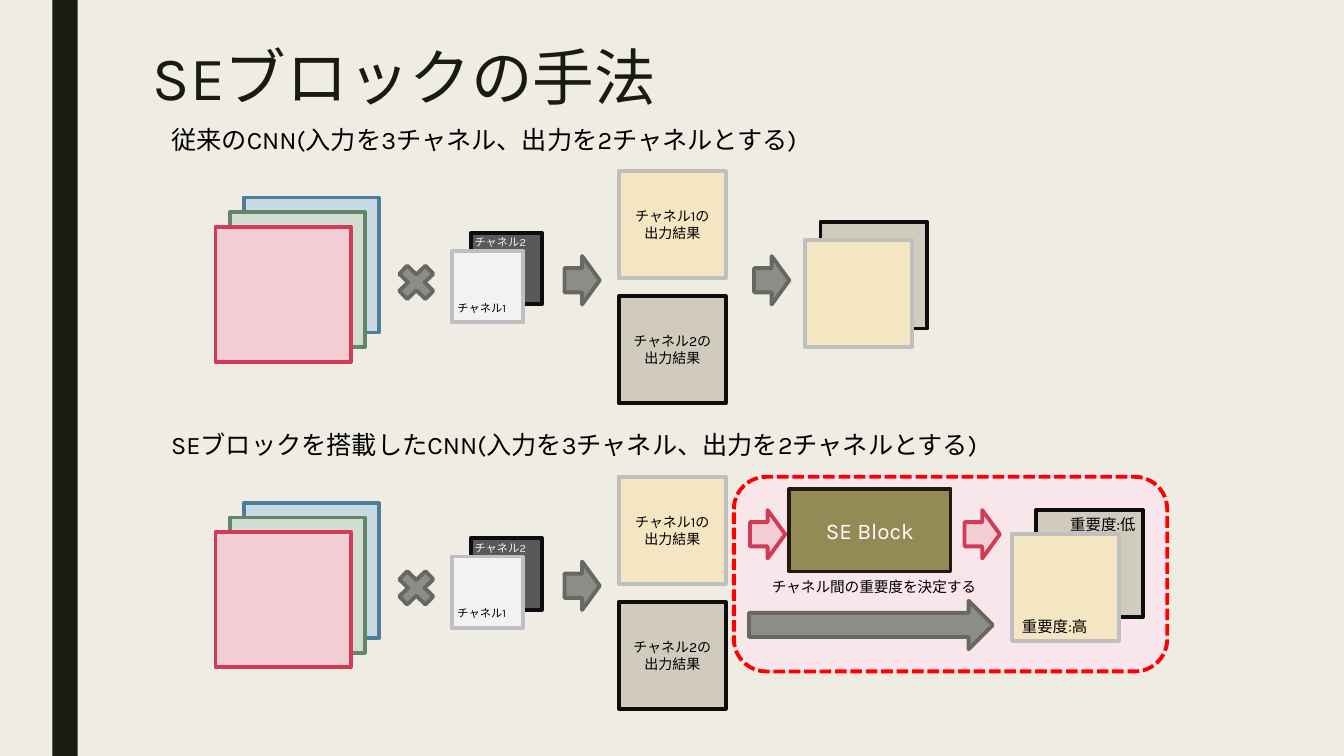
from pptx import Presentation
from pptx import util as u
from pptx.dml.color import RGBColor
from pptx.enum import dml, shapes, text

FONT = "Karla"
BACKGROUND = RGBColor(0xEF, 0xED, 0xE3)
INK = RGBColor(0x19, 0x1B, 0x0E)
BLACK = RGBColor(0x00, 0x00, 0x00)
WHITE = RGBColor(0xFF, 0xFF, 0xFF)
PALE = RGBColor(0xF2, 0xF2, 0xF2)
RED = RGBColor(0xFF, 0x00, 0x00)
BLUSH = RGBColor(0xF9, 0xE6, 0xEA)
# (fill, line) pairs
BLUE = RGBColor(0xC9, 0xDA, 0xE4), RGBColor(0x4D, 0x7D, 0x99)
GREEN = RGBColor(0xD1, 0xDD, 0xD2), RGBColor(0x63, 0x87, 0x64)
PINK = RGBColor(0xF3, 0xCD, 0xD4), RGBColor(0xD1, 0x3B, 0x56)
GREY = RGBColor(0x8C, 0x8D, 0x86), RGBColor(0x68, 0x68, 0x63)
OLIVE = RGBColor(0x94, 0x8A, 0x55), RGBColor(0x1E, 0x1C, 0x11)
DARK_KERNEL = RGBColor(0x59, 0x59, 0x59), RGBColor(0x0D, 0x0D, 0x0D)
LIGHT_KERNEL = PALE, RGBColor(0xBF, 0xBF, 0xBF)
OUTPUT_1 = RGBColor(0xF5, 0xE6, 0xC3), RGBColor(0xBF, 0xBF, 0xBF)
OUTPUT_2 = RGBColor(0xD1, 0xCB, 0xBE), RGBColor(0x0D, 0x0D, 0x0D)

SHAPE = shapes.MSO_SHAPE
INPUT, KERNEL, OUTPUT = 96.5, 51, 76.3  # side lengths of the squares
ROW_PITCH = 218.2


class Canvas:
    def __init__(self, slide, font=FONT, line_width=2.75):
        self.s, self.font, self.line_width = slide, font, line_width

    def set_text(self, tf, lines, size, color, align=None):
        tf.word_wrap = True
        for i, line in enumerate(lines):
            p = tf.paragraphs[0] if i == 0 else tf.add_paragraph()
            p.text = line
            p.alignment = align
            p.font.name, p.font.size = self.font, u.Pt(size)
            p.font.color.rgb = color
        return tf

    def shape(self, kind, x, y, w, h, colors, lines=(), size=10, color=BLACK):
        fill, line = colors
        sp = self.s.shapes.add_shape(kind, u.Pt(x), u.Pt(y), u.Pt(w), u.Pt(h))
        sp.shadow.inherit = False
        sp.fill.solid()
        sp.fill.fore_color.rgb = fill
        if line is None:
            sp.line.fill.background()
        else:
            sp.line.color.rgb = line
            sp.line.width = u.Pt(self.line_width)
        self.set_text(sp.text_frame, lines, size, color, text.PP_ALIGN.CENTER)
        return sp

    def square(self, x, y, side, colors, lines=()):
        self.shape(SHAPE.RECTANGLE, x, y, side, side, colors, lines)

    def arrow(self, x, y, colors=GREY, w=25.2):
        self.shape(SHAPE.RIGHT_ARROW, x, y, w, 34.6, colors)

    def label(self, x, y, w, h, words, size, color=BLACK):
        sp = self.s.shapes.add_textbox(u.Pt(x), u.Pt(y), u.Pt(w), u.Pt(h))
        return self.set_text(sp.text_frame, [words], size, color)


def convolution(c, y, heading, heading_width):
    """Draw input, kernels and both outputs, with the heading at height y."""
    c.label(115.2, y, heading_width, 29, heading, 18)
    for i, colors in enumerate((BLUE, GREEN, PINK)):
        c.square(174.2 - 10.1 * i, y + 56.1 + 10.4 * i, INPUT, colors)
    c.square(336.2, y + 81.3, KERNEL, DARK_KERNEL)
    c.square(322.6, y + 94.3, KERNEL, LIGHT_KERNEL)
    c.shape(SHAPE.MATH_MULTIPLY, 279.4, y + 99.4, 36, 34.6, GREY)
    for i, colors in enumerate((OUTPUT_1, OUTPUT_2)):
        c.square(442.1, y + 37.4 + 89.3 * i, OUTPUT, colors,
                 [f"チャネル{i + 1}の", "出力結果"])
    c.arrow(403.2, y + 97.9)
    c.label(319.7, y + 126.7, 51.8, 17.3, "チャネル1", 8)
    c.label(331.9, y + 79.9, 51.8, 17.3, "チャネル2", 8, PALE)


def se_block(c):
    c.arrow(535.7, 364.3, PINK)
    c.shape(SHAPE.RECTANGLE, 563.8, 349.2, 115.2, 59, OLIVE,
            ["SE Block"], 16, WHITE)
    c.arrow(689, 364.3, PINK)
    c.label(544.3, 409, 162.7, 20.2, "チャネル間の重要度を決定する", 10.5)
    c.arrow(535, 429.1, w=174.2)
    c.square(740.2, 364.3, OUTPUT, OUTPUT_2)
    c.square(722.9, 381.6, OUTPUT, OUTPUT_1)
    c.label(757.4, 364.3, 61.9, 20.9, "重要度:低", 11)
    c.label(722.9, 437, 61.9, 20.9, "重要度:高", 11)


def main():
    prs = Presentation()
    prs.slide_width, prs.slide_height = u.Pt(960), u.Pt(540)
    s = prs.slides.add_slide(prs.slide_layouts[6])
    s.background.fill.solid()
    s.background.fill.fore_color.rgb = BACKGROUND
    c = Canvas(s)

    c.shape(SHAPE.RECTANGLE, 37.4, 0, 18, 540, (INK, None))
    frame = c.shape(SHAPE.ROUNDED_RECTANGLE, 524.2, 340.6, 309.6, 139,
                    (BLUSH, RED))
    frame.line.dash_style = dml.MSO_LINE.SQUARE_DOT
    title = c.label(102.2, 31, 756, 116.6, "SEブロックの手法", 44, INK)
    title.paragraphs[0].line_spacing = 0.89

    top = 85
    convolution(c, top, "従来のCNN(入力を3チャネル、出力を2チャネルとする)", 462.2)
    c.arrow(538.6, top + 97.9)
    c.square(586.1, 158.4, OUTPUT, OUTPUT_2)
    c.square(575.3, 171.4, OUTPUT, OUTPUT_1)

    convolution(c, top + ROW_PITCH,
                "SEブロックを搭載したCNN(入力を3チャネル、出力を2チャネルとする)", 591.8)
    se_block(c)
    prs.save("out.pptx")


if __name__ == "__main__":
    main()
